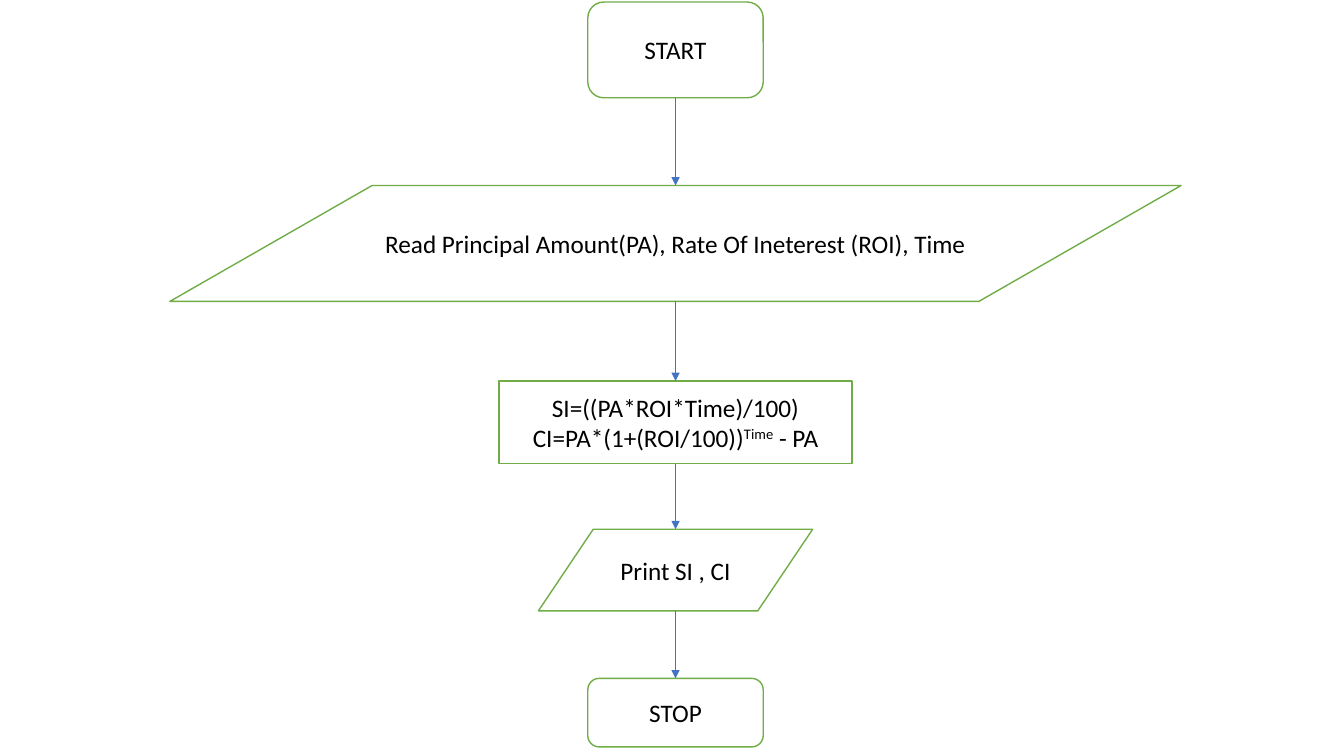
from itertools import pairwise

from lxml.etree import SubElement
from pptx import Presentation
from pptx.dml.color import RGBColor
from pptx.enum.shapes import MSO_CONNECTOR, MSO_SHAPE
from pptx.enum.text import MSO_ANCHOR, PP_ALIGN
from pptx.oxml.ns import qn
from pptx.util import Inches, Pt

TERMINAL = MSO_SHAPE.FLOWCHART_ALTERNATE_PROCESS
DATA = MSO_SHAPE.FLOWCHART_DATA
PROCESS = MSO_SHAPE.RECTANGLE
CENTER = 6.7

STEPS = [
    (TERMINAL, 0.02, 1.74, 0.95, [["START"]]),
    (DATA, 1.84, 10.03, 1.15,
     [["Read Principal Amount(PA), Rate Of Ineterest (ROI), Time"]]),
    (PROCESS, 3.78, 3.5, 0.82,
     [["SI=((PA*ROI*Time)/100)"],
      ["CI=PA*(1+(ROI/100))", "^Time", " - PA"]]),
    (DATA, 5.25, 2.72, 0.81, [["Print SI , CI"]]),
    (TERMINAL, 6.73, 1.74, 0.68, [["STOP"]]),
]


def color(value):
    return RGBColor.from_string(value)


class Flowchart:
    font = {"name": "Calibri", "size": Pt(18)}
    frame = {"word_wrap": True, "vertical_anchor": MSO_ANCHOR.MIDDLE}
    text_color = "000000"
    fill_color = "FFFFFF"
    border_color = "70AD47"
    arrow_color = "4472C4"

    def __init__(self, page):
        self.page = page

    def apply(self, target, values):
        for name, value in values.items():
            setattr(target, name, value)

    def step(self, kind, top, width, height, lines):
        box = self.page.shapes.add_shape(
            kind, Inches(CENTER - width / 2), Inches(top),
            Inches(width), Inches(height))
        box.shadow.inherit = False
        box.fill.solid()
        box.fill.fore_color.rgb = color(self.fill_color)
        box.line.color.rgb = color(self.border_color)
        box.line.width = Pt(1)
        self.apply(box.text_frame, self.frame)
        for index, spans in enumerate(lines):
            para = (box.text_frame.add_paragraph() if index
                    else box.text_frame.paragraphs[0])
            para.alignment = PP_ALIGN.CENTER
            for text in spans:
                self.span(para, text)
        return box

    def span(self, para, text):
        span = para.add_run()
        span.text = text.removeprefix("^")
        self.apply(span.font, self.font)
        span.font.color.rgb = color(self.text_color)
        if text.startswith("^"):
            span.font._element.set("baseline", "30000")

    def arrow(self, upper, lower):
        middle = Inches(CENTER)
        link = self.page.shapes.add_connector(
            MSO_CONNECTOR.STRAIGHT, middle, upper.top + upper.height,
            middle, lower.top)
        if upper.auto_shape_type != DATA:
            link.begin_connect(upper, 2)
        if lower.auto_shape_type != DATA:
            link.end_connect(lower, 0)
        link.line.color.rgb = color(self.arrow_color)
        link.line.width = Pt(0.5)
        SubElement(link.line._get_or_add_ln(), qn("a:tailEnd"), type="triangle")
        SubElement(link._element.spPr, qn("a:effectLst"))


def main():
    deck = Presentation()
    deck.slide_width = Inches(13.33)
    deck.slide_height = Inches(7.5)
    chart = Flowchart(deck.slides.add_slide(deck.slide_layouts[6]))
    boxes = [chart.step(*step) for step in STEPS]
    for upper, lower in pairwise(boxes):
        chart.arrow(upper, lower)
    deck.save("out.pptx")


if __name__ == "__main__":
    main()
